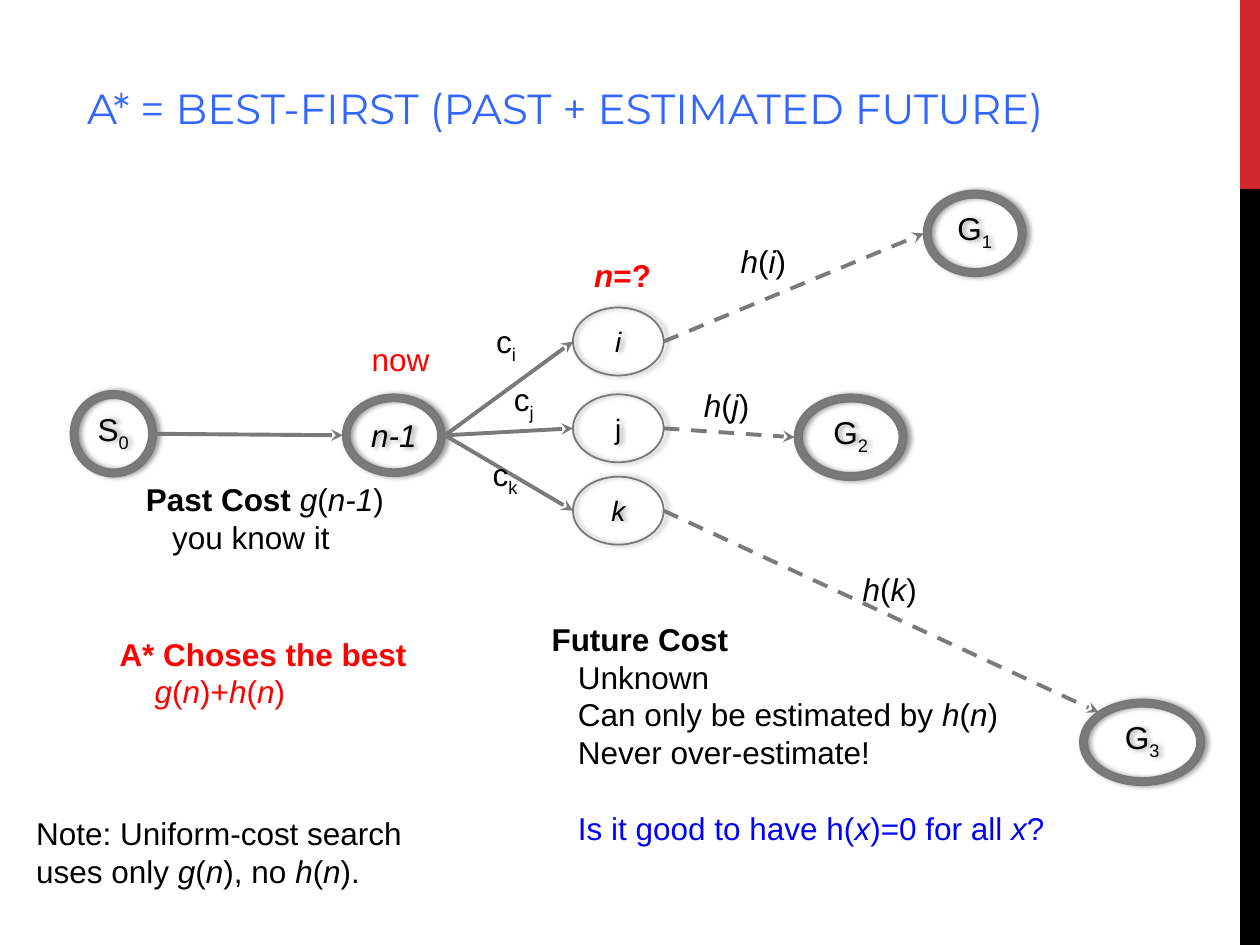
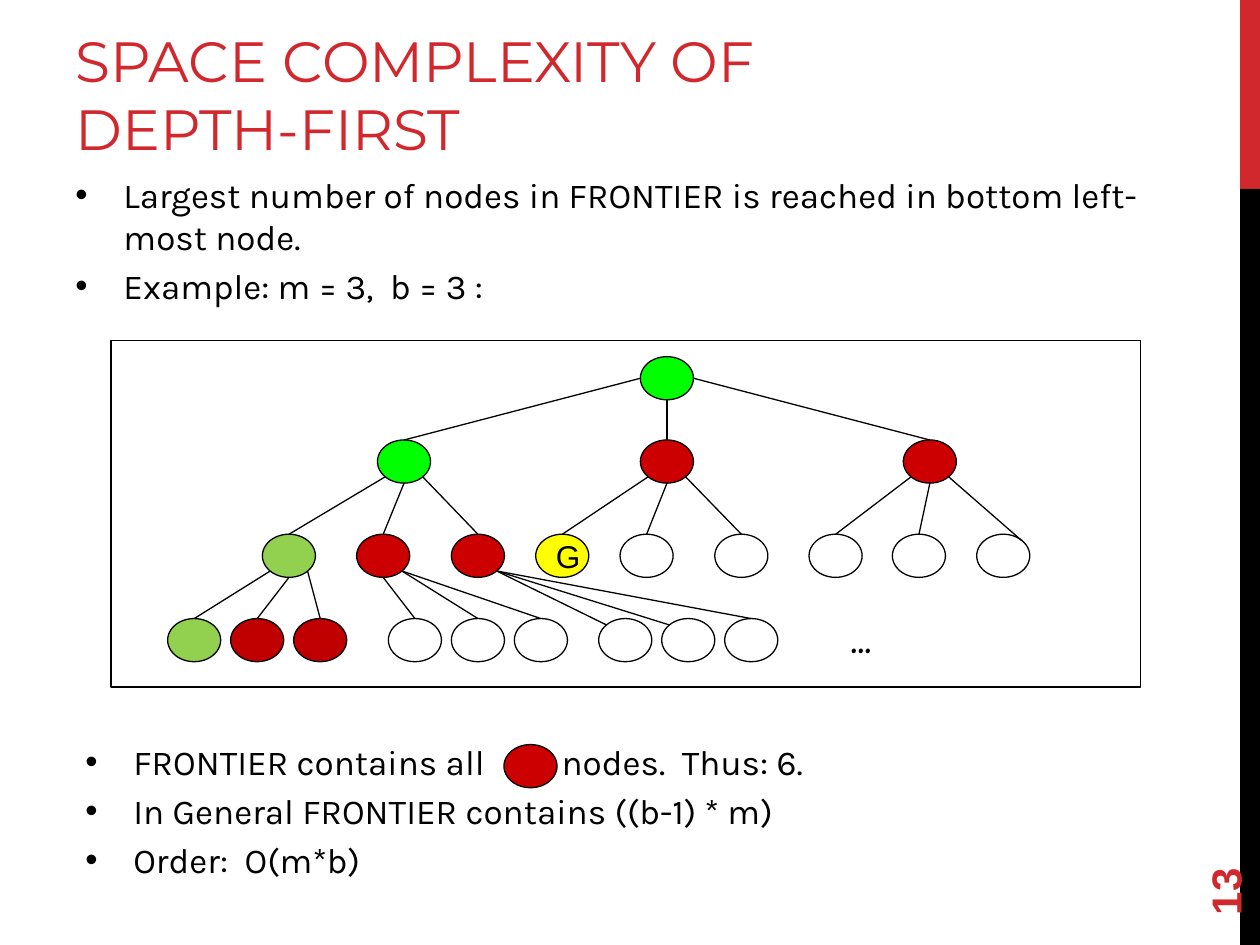
from lxml import etree
from pptx import Presentation
from pptx import util as u
from pptx.dml.color import RGBColor
from pptx.enum import dml, shapes, text
from pptx.oxml.ns import qn

RED, BLACK, WHITE, GRAY = "D1282E", "000000", "FFFFFF", "7A7A7A"
HOT, BLUE, SKY = "FF0000", "0000FF", "3366FF"
LIME, LEAF, DARK, BRICK, GOLD = "00FF00", "92D050", "CC0000", "C00000", "FFFF00"
SITES = {"n": (.5, 0), "s": (.5, 1), "w": (0, .5), "e": (1, .5),
         "nw": (.15, .15), "ne": (.85, .15), "sw": (.15, .85), "se": (.85, .85)}
FORM = shapes.MSO_SHAPE
MID = text.MSO_ANCHOR.MIDDLE


def color(code):
    return RGBColor.from_string(code)


def child(parent, tag, **attrs):
    node = etree.SubElement(parent, qn(tag))
    for name, value in attrs.items():
        node.set(name, str(value))
    return node


def style(run, marks, size, hue, face):
    font = run.font
    font.size, font.name = u.Pt(size), face
    font.color.rgb = color(hue)
    font.italic, font.bold = "_" in marks, "^" in marks
    props = run._r.get_or_add_rPr()
    if "~" in marks:
        props.set("baseline", "-25000")
    if "|" in marks:
        props.set("spc", "3900")


def fill_par(par, line, size, hue, face):
    marks, run = set(), None
    for sign in line:
        if sign in "_^~|":
            marks ^= {sign}
            run = None
            continue
        if run is None:
            run = par.add_run()
            style(run, marks, size, hue, face)
        run.text += sign


def write(shape, lines, size=18, hue=BLACK, face="Arial", indent=0):
    frame = shape.text_frame
    for pos, line in enumerate(lines):
        par = frame.add_paragraph() if pos else frame.paragraphs[0]
        fill_par(par, line, size, hue, face)
        par.line_spacing = u.Pt(size * 1.2)
        if pos and indent:
            par._p.get_or_add_pPr().set("marL", str(u.Cm(indent)))
    return frame


def add_text(slide, x, y, w, h, lines, **look):
    box = slide.shapes.add_textbox(u.Cm(x), u.Cm(y), u.Cm(w), u.Cm(h))
    box.text_frame.word_wrap = True
    write(box, lines, **look)
    return box


def add_form(slide, form, x, y, w, h, fill=None, line=None, width=.75):
    shape = slide.shapes.add_shape(form, u.Cm(x), u.Cm(y), u.Cm(w), u.Cm(h))
    shape.shadow.inherit = False
    if fill:
        shape.fill.solid()
        shape.fill.fore_color.rgb = color(fill)
    else:
        shape.fill.background()
    if line:
        shape.line.color.rgb = color(line)
        shape.line.width = u.Pt(width)
    else:
        shape.line.fill.background()
    return shape


def site(shape, side):
    fx, fy = SITES[side]
    return int(shape.left + fx * shape.width), int(shape.top + fy * shape.height)


def link(slide, start, out, end, into, hue=BLACK, width=.75, arrow=False, dash=False):
    line = slide.shapes.add_connector(
        shapes.MSO_CONNECTOR.STRAIGHT, *site(start, out), *site(end, into))
    line.line.color.rgb = color(hue)
    line.line.width = u.Pt(width)
    if dash:
        line.line.dash_style = dml.MSO_LINE.DASH
    props = line._element.spPr
    if arrow:
        child(props.find(qn("a:ln")), "a:tailEnd", type="stealth")
    child(props, "a:effectLst")


def set_title(slide, x, y, w, h, words, size, hue):
    title = slide.shapes.title
    title.left, title.top, title.width, title.height = map(u.Cm, (x, y, w, h))
    frame = title.text_frame
    frame.text = words
    frame.word_wrap = True
    frame.auto_size = text.MSO_AUTO_SIZE.NONE
    frame.vertical_anchor = text.MSO_ANCHOR.BOTTOM
    par = frame.paragraphs[0]
    par.alignment = text.PP_ALIGN.LEFT
    style(par.runs[0], "", size, hue, "Montserrat")


def add_bands(deck, slide):
    for y, h, hue in ((0, 3.81, RED), (3.81, 15.24, BLACK)):
        band = add_form(slide, FORM.RECTANGLE, 25, y, .4, h, hue)
        deck.slide_master.shapes.element.append(band.element)


def add_state(slide, x, y, w, h, label, goal):
    form, fill = (FORM.DONUT, GRAY) if goal else (FORM.OVAL, None)
    state = add_form(slide, form, x, y, w, h, fill, "777777", 1)
    if goal:
        state.adjustments[0] = .085
    cast = child(state._element.spPr.find(qn("a:effectLst")), "a:outerShdw",
                 blurRad=u.Pt(3.1), dist=u.Pt(1.8), dir=0, rotWithShape=0)
    child(child(cast, "a:srgbClr", val=BLACK), "a:alpha", val=40000)
    frame = write(state, [label], 18 if goal else 16)
    frame.word_wrap = False
    frame.vertical_anchor = MID
    frame.paragraphs[0].alignment = text.PP_ALIGN.CENTER
    return state


def add_graph(slide, left, top):
    spots = {
        "S": (0, 4.04, 1.73, 1.73, "S~0~"),
        "now": (5.49, 4.11, 2.06, 1.65, "_n-1_"),
        "G1": (17.2, 0, 2.06, 1.73, "G~1~"),
        "G2": (14.6, 4.11, 2.26, 1.73, "G~2~"),
        "G3": (20.35, 10.26, 2.51, 1.73, "G~3~"),
        "i": (10.13, 2.36, 1.83, 1.37, "_i_"),
        "j": (10.13, 4.11, 1.83, 1.37, "j"),
        "k": (10.13, 5.77, 1.83, 1.37, "_k_"),
    }
    states = {name: add_state(slide, left + x, top + y, w, h, label, name not in "ijk")
              for name, (x, y, w, h, label) in spots.items()}
    steps = [("S", "now", "w", False)]
    for name, goal, into in (("i", "G1", "w"), ("j", "G2", "w"), ("k", "G3", "nw")):
        steps += [("now", name, "w", False), (name, goal, into, True)]
    for start, end, into, dash in steps:
        link(slide, states[start], "e", states[end], into, GRAY, 2.25, True, dash)
    labels = (
        (5.82, 2.9, "now", HOT), (10.31, 1.19, "^_n_=?^", HOT),
        (13.26, .91, "_h_(_i_)", BLACK), (12.52, 3.81, "_h_(_j_)", BLACK),
        (15.72, 7.52, "_h_(_k_)", BLACK), (8.33, 2.64, "c~i~", BLACK),
        (8.69, 3.81, "c~j~", BLACK), (8.26, 5.31, "c~k~", BLACK))
    for x, y, label, hue in labels:
        add_text(slide, left + x, top + y, 1.8, 1.02, [label], hue=hue)


def add_future(slide, x, y, w, h):
    box = add_text(slide, x, y, w, h, [
        "^Future Cost^", "Unknown", "Can only be estimated by _h_(_n_)",
        "Never over-estimate!", "Is it good to have h(_x_)=0 for all _x_?"], indent=.53)
    ask = box.text_frame.paragraphs[-1]
    ask.space_before = u.Pt(21.6)
    for run in ask.runs:
        run.font.color.rgb = color(BLUE)


def build_star(slide):
    set_title(slide, 1.5, .79, 22.81, 2.01,
              "A* = BEST-FIRST (PAST + ESTIMATED FUTURE)", 24, SKY)
    add_graph(slide, 1.42, 3.84)
    add_text(slide, 2.69, 9.55, 5.84, 1.8,
             ["^Past Cost ^_g_(_n-1_)", "you know it"], indent=.53)
    add_text(slide, 2.16, 12.67, 6.53, 1.8,
             ["^A* Choses the best^", "_g_(_n_)+_h_(_n_)"], hue=HOT, indent=.71)
    add_text(slide, .48, 16.28, 8.13, 1.8,
             ["Note: Uniform-cost search", "uses only _g_(_n_), no _h_(_n_)."])
    add_future(slide, 10.87, 12.37, 11, 4.88)


def add_list(slide, x, y, w, h, lines):
    box = add_text(slide, x, y, w, h, lines, size=20, face="Karla")
    for pos, par in enumerate(box.text_frame.paragraphs):
        par.space_before = u.Pt(4 if pos else 0)
        props = par._p.get_or_add_pPr()
        props.set("marL", str(u.Cm(.97)))
        props.set("indent", str(u.Cm(-.97)))
        child(child(props, "a:buClr"), "a:srgbClr", val=BLACK)
        child(props, "a:buFont", typeface="Arial")
        child(props, "a:buChar", char="•")


def add_dot(slide, x, y, hue):
    return add_form(slide, FORM.OVAL, x, y, 1.07, .87, hue, BLACK)


def add_tree(slide, left, top, w, h):
    add_form(slide, FORM.RECTANGLE, left, top, w, h, WHITE, BLACK)
    levels = (
        (.33, [10.67], [LIME]),
        (2.01, [5.37 + 5.3 * i for i in range(3)], [LIME, DARK, DARK]),
        (3.91, [3.05, 4.95, 6.86, 8.56, 10.26, 12.17, 14.07, 15.75, 17.45],
         [LEAF, DARK, DARK, GOLD] + [WHITE] * 5),
        (5.61, [x + 1.27 * i for x in (1.14, 5.59, 9.83) for i in range(3)],
         [LEAF, BRICK, BRICK] + [WHITE] * 6))
    rows = [[add_dot(slide, left + x, top + y, hue) for x, hue in zip(xs, hues)]
            for y, xs, hues in levels]
    wide, fan, down = ("w", "s", "e"), ("sw", "s", "se"), ("n", "n", "n")
    plans = (
        [(wide, down)],
        [(fan, down), (fan, down), (fan, ("n", "n", "ne"))],
        [(fan, down), (("s", "se", "se"), down), (("se",) * 3, ("nw", "nw", "n"))])
    for row, kids, plan in zip(rows, rows[1:], plans):
        for pos, (outs, ins) in enumerate(plan):
            for kid, out, into in zip(kids[3 * pos:], outs, ins):
                link(slide, row[pos], out, kid, into)
    frame = write(rows[2][3], ["G"])
    frame.word_wrap = True
    frame.vertical_anchor = MID
    frame.paragraphs[0].alignment = text.PP_ALIGN.CENTER
    add_text(slide, left + 14.66, top + 5.41, 1.52, 1.19, ["^...^"],
             size=22, face="Comic Neue")


def add_sum(slide, x, y, w, h):
    add_list(slide, x, y, w, h, [
        "FRONTIER contains all| |nodes.  Thus: 6.",
        "In General FRONTIER contains ((b-1) * m)", "Order:  O(m*b)"])
    add_dot(slide, x + 8.69, y + .2, DARK)


def build_space(slide):
    set_title(slide, 1.27, .43, 16.08, 2.97,
              "SPACE COMPLEXITY OF DEPTH-FIRST", 32.4, RED)
    add_list(slide, 1.27, 3.38, 22.02, 3.2, [
        "Largest number of nodes in FRONTIER is reached in bottom left-most node.",
        "Example: m = 3,  b = 3 :"])
    add_tree(slide, 2.24, 6.86, 20.75, 6.99)
    add_sum(slide, 1.47, 14.81, 22.02, 3.07)
    page = add_text(slide, 22.86, 16.36, 3.66, 1.02, ["^13^"], size=24, hue=RED)
    page.rotation = 270
    page.text_frame.vertical_anchor = MID


def main():
    deck = Presentation()
    deck.slide_width, deck.slide_height = u.Cm(25.4), u.Cm(19.05)
    slides = [deck.slides.add_slide(deck.slide_layouts[5]) for _ in range(2)]
    add_bands(deck, slides[0])
    build_star(slides[0])
    build_space(slides[1])
    deck.save("out.pptx")


if __name__ == "__main__":
    main()
